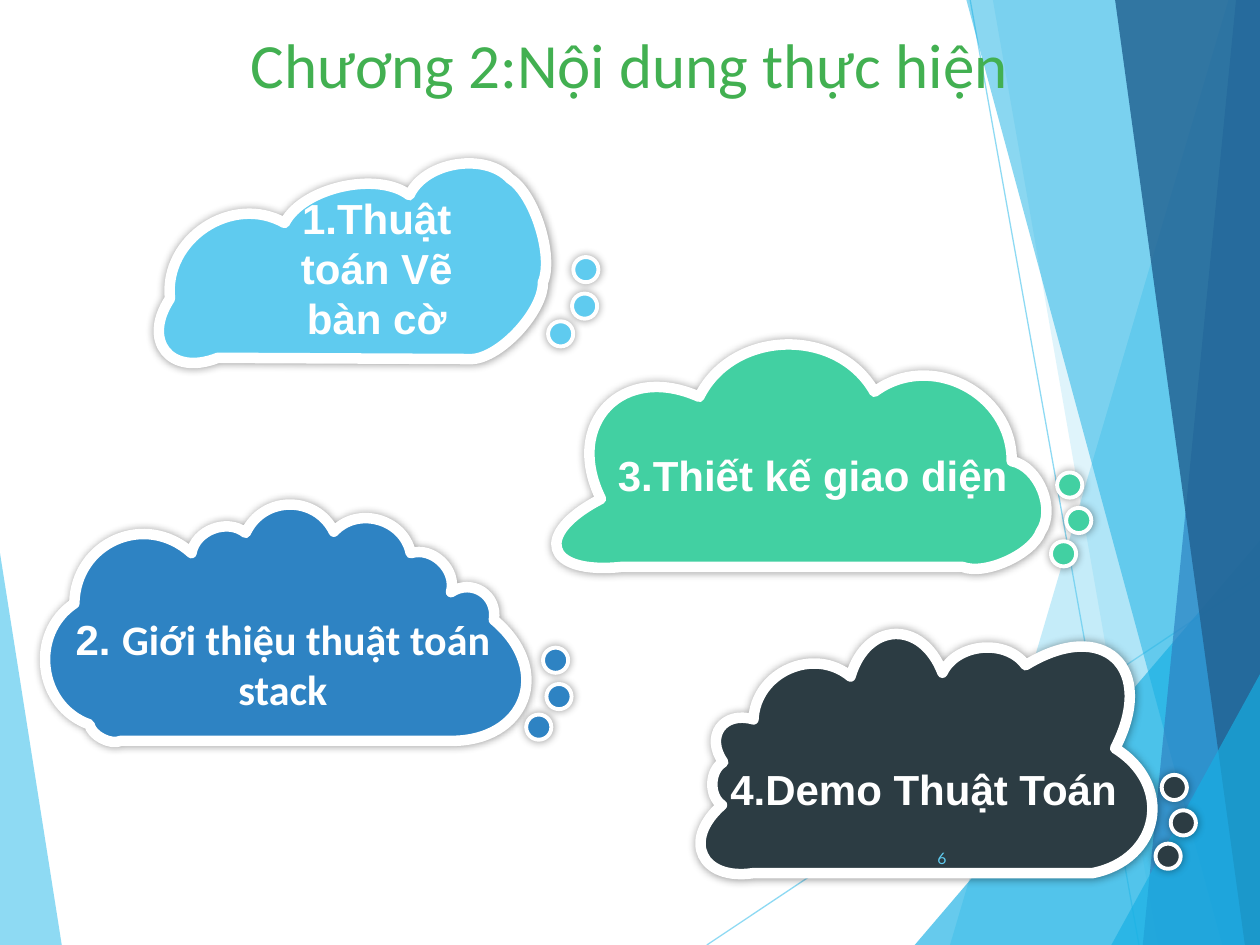
from math import cos, radians, sin

from lxml import etree
from pptx import Presentation
from pptx import util as u
from pptx.dml.color import RGBColor
from pptx.enum import shapes, text
from pptx.oxml import parse_xml
from pptx.oxml.ns import nsdecls, qn

THEME = {
    "sky": "5FCBEF", "cyan": "17B0E4", "blue": "2E83C3", "navy": "226292",
    "mint": "42D0A2", "slate": "2C3C43", "white": "FFFFFF", "title": "42B051",
    "title_size": 36, "label_size": 24, "number_size": 9,
    "title_font": "Calibri", "label_font": "Arial", "number_font": "Lato",
}

# All positions are in inches.
W, H = 10, 7.5
TITLE = "Chương 2:Nội dung thực hiện"
PAGE_NUMBER = "6"

# Right-hand facets: (colour, opacity %, left edge at top, left edge at bottom, top)
FACETS = [
    ("sky", 36, 9.75, 7.54, 0),
    ("sky", 20, 7.88, 9.19, 0),
    ("cyan", 66, W, 7.26, 4.29),
    ("cyan", 50, 7.67, 9.7, 0),
    ("blue", 70, 9.81, 9.07, 0),
    ("navy", 82, 8.85, 9.88, 0),
    ("cyan", 66, W, 8.82, 5.35),
]
RAYS = [(5.61, H, W, 4.57), (7.7, 0, 9.04, H)]

# puffs: (x, y, bulge) for the end of each puff, anticlockwise from the base
CLOUDS = [
    {"color": "sky", "base": [(1.73, 2.84), (3.75, 2.85)],
     "puffs": [(4.31, 2.24, 0.19), (4.05, 1.42, 0.17), (3.25, 1.55, 0.3),
               (2.26, 1.77, 0.24), (1.35, 2.37, 0.39), (1.73, 2.84, 0.64)],
     "top_dot": (4.55, 2.04), "turn": 0, "label_box": (1.98, 1.47, 2.02, 1.31),
     "label": [("1.Thuật toán Vẽ bàn cờ", "label_font")]},
    {"color": "mint", "base": [(4.93, 4.5), (7.64, 4.5)],
     "puffs": [(8.26, 4.22, 0.2), (8.03, 3.66, 0.3), (6.94, 3.11, 0.4),
               (5.55, 3.15, 0.38), (4.77, 3.96, 0.56), (4.93, 4.5, 1.06)],
     "top_dot": (8.39, 3.75), "turn": 16.3, "label_box": (4.64, 3.52, 3.62, 0.5),
     "label": [("3.Thiết kế giao diện", "label_font")]},
    {"color": "blue", "base": [(0.96, 5.88), (3.56, 5.88)],
     "puffs": [(3.92, 4.92, 0.57), (3.58, 4.7, 0.45), (3.26, 4.39, 0.36),
               (2.65, 4.22, 0.39), (1.95, 4.23, 0.42), (1.52, 4.39, 0.35),
               (0.59, 4.79, 0.44), (0.71, 5.75, 0.4), (0.96, 5.88, 0.25)],
     "top_dot": (4.31, 5.14), "turn": 7.3, "label_box": (0.34, 4.81, 3.81, 0.91),
     "label": [("2. ", "label_font"), ("Giới thiệu thuật toán stack", "title_font")]},
    {"color": "slate", "base": [(5.98, 6.93), (8.67, 6.93)],
     "puffs": [(8.85, 5.94, 0.51), (8.14, 5.28, 0.72), (7.48, 5.34, 0.34),
               (6.75, 5.37, 0.59), (5.98, 5.71, 0.4), (5.74, 6.05, 0.57),
               (5.73, 6.39, 0.32), (5.98, 6.93, 0.68)],
     "top_dot": (9.22, 6.15), "turn": 16.3, "label_box": (5.61, 6.01, 3.44, 0.5),
     "label": [("4.Demo Thuật Toán", "label_font")]},
]
DOT = 0.2
DOT_OFFSETS = [(-0.2, 0.51), (-0.01, 0.29), (0, 0)]


def cm(inches):
    return u.Cm(inches * 2.54)


def color(name):
    return RGBColor.from_string(THEME[name])


def set_opacity(element, percent):
    clr = next(element.iter(qn("a:srgbClr")))
    etree.SubElement(clr, qn("a:alpha")).set("val", str(percent * 1000))


def polygon(sps, points):
    pts = [(cm(x), cm(y)) for x, y in points]
    fb = sps.build_freeform(*pts[0])
    fb.add_line_segments(pts[1:], close=True)
    return fb.convert_to_shape()


def add_facet(sps, name, opacity, points):
    sp = polygon(sps, points)
    sp.shadow.inherit = False
    sp.fill.solid()
    sp.fill.fore_color.rgb = color(name)
    set_opacity(sp.fill._xPr, opacity)
    sp.line.fill.background()


def add_ray(sps, ends):
    ln = sps.add_connector(shapes.MSO_CONNECTOR.STRAIGHT, *map(cm, ends))
    ln.line.color.rgb = color("sky")
    ln.line.width = u.Pt(0.75)
    set_opacity(ln.line._get_or_add_ln(), 70)
    etree.SubElement(ln._element.spPr, qn("a:effectLst"))


def style_sticker(sp, name, width):
    """Solid fill, white rounded outline and a soft shadow all round."""
    sp.fill.solid()
    sp.fill.fore_color.rgb = color(name)
    sp.line.color.rgb = color("white")
    sp.line.width = u.Pt(width)
    etree.SubElement(sp.line._get_or_add_ln(), qn("a:round"))
    sp._element.spPr.append(parse_xml(
        f'<a:effectLst {nsdecls("a")}><a:outerShdw blurRad="{u.Pt(5)}" dist="0" dir="0" '
        'algn="ctr" rotWithShape="0"><a:srgbClr val="000000"><a:alpha val="40000"/>'
        '</a:srgbClr></a:outerShdw></a:effectLst>'))


def puff_curve(start, end, bulge):
    """Bezier points of a puff that swells outwards by bulge times its chord."""
    (x, y), (dx, dy) = start, (end[0] - start[0], end[1] - start[1])
    controls = [(x + t * dx - bulge * dy, y + t * dy + bulge * dx) for t in (0.2, 0.8)]
    return [start, *controls, end]


def sample(curve, n=20):
    a, b, c, d = curve
    for t in (i / n for i in range(n + 1)):
        s = 1 - t
        yield tuple(s**3 * a[i] + 3 * s * s * t * b[i] + 3 * s * t * t * c[i] + t**3 * d[i]
                    for i in (0, 1))


def add_cloud(sps, cloud):
    """Size a freeform by sampled points, then give its path true curves."""
    start, corner = cloud["base"]
    curves, last = [], corner
    for x, y, bulge in cloud["puffs"]:
        curves.append(puff_curve(last, (x, y), bulge))
        last = (x, y)
    sp = polygon(sps, [start] + [pt for curve in curves for pt in sample(curve)])
    outline = next(sp._element.iter(qn("a:path")))
    for step in list(outline):
        outline.remove(step)
    steps = [("moveTo", [start]), ("lnTo", [corner])]
    steps += [("cubicBezTo", curve[1:]) for curve in curves]
    for tag, points in steps:
        step = etree.SubElement(outline, qn("a:" + tag))
        for x, y in points:
            pt = etree.SubElement(step, qn("a:pt"))
            pt.set("x", str(int(cm(x) - sp.left)))
            pt.set("y", str(int(cm(y) - sp.top)))
    etree.SubElement(outline, qn("a:close"))
    style_sticker(sp, cloud["color"], 6)


def add_dots(sps, cloud):
    group = sps.add_group_shape()
    (x, y), turn = cloud["top_dot"], radians(cloud["turn"])
    for dx, dy in DOT_OFFSETS:
        left = x + dx * cos(turn) + dy * sin(turn)
        top = y - dx * sin(turn) + dy * cos(turn)
        dot = group.shapes.add_shape(shapes.MSO_SHAPE.OVAL, *map(cm, (left, top, DOT, DOT)))
        style_sticker(dot, cloud["color"], 2.25)


def write(tf, runs, size, name, align, bold=False, anchor=text.MSO_ANCHOR.MIDDLE):
    tf.word_wrap = True
    tf.auto_size = text.MSO_AUTO_SIZE.NONE
    tf.vertical_anchor = anchor
    p = tf.paragraphs[0]
    p.alignment = align
    for words, font in runs:
        r = p.add_run()
        r.text = words
        r.font.name = THEME[font]
        r.font.size = u.Pt(THEME[size])
        r.font.bold = bold
        r.font.color.rgb = color(name)


def main():
    prs = Presentation()
    prs.slide_width, prs.slide_height = cm(W), cm(H)
    s = prs.slides.add_slide(prs.slide_layouts[5])
    sps = s.shapes
    center = text.PP_ALIGN.CENTER

    add_facet(sps, "sky", 70, [(0, 4.39), (0.49, H), (0, H)])
    for ray in RAYS:
        add_ray(sps, ray)
    for name, opacity, x_top, x_bottom, top in FACETS:
        add_facet(sps, name, opacity, [(x_top, top), (x_bottom, H), (W, H), (W, top)])

    for cloud in CLOUDS:
        add_cloud(sps, cloud)
        add_dots(sps, cloud)
        label = sps.add_textbox(*map(cm, cloud["label_box"]))
        write(label.text_frame, cloud["label"], "label_size", "white", center, bold=True)

    title = sps.title
    title.left, title.top, title.width, title.height = map(cm, (0.35, 0.15, 9.29, 0.71))
    write(title.text_frame, [(TITLE, "title_font")], "title_size", "title", center,
          anchor=text.MSO_ANCHOR.TOP)
    sps._spTree.append(title._element)  # in front of the facets

    number = sps.add_textbox(*map(cm, (7.05, 6.61, 0.56, 0.4)))
    write(number.text_frame, [(PAGE_NUMBER, "number_font")], "number_size", "sky",
          text.PP_ALIGN.RIGHT)
    prs.save("out.pptx")


if __name__ == "__main__":
    main()
